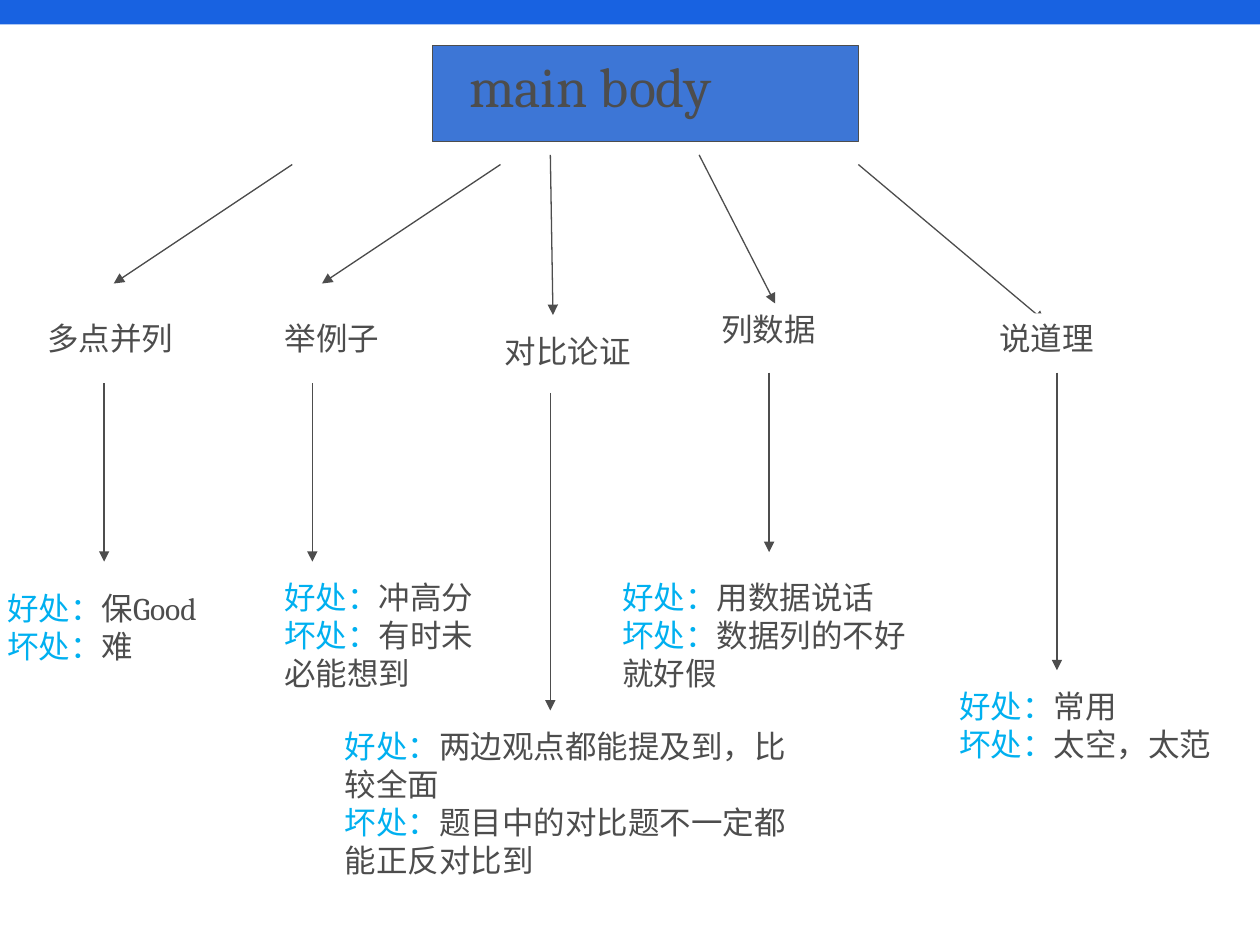
from lxml import etree
from pptx import Presentation
from pptx import util as u
from pptx.dml.color import RGBColor
from pptx.enum import shapes, text
from pptx.oxml.ns import qn

Pt = u.Pt
HUES = {"bar": "1862E1", "box": "3D76D6", "ink": "4D4D4D",
        "key": "00B0F0", "page": "FFFFFF"}


def hue(name):
    return RGBColor.from_string(HUES[name])


def write(par, words, size=18, color="ink", font="Cambria"):
    run = par.add_run()
    run.text = words
    run.font.size = Pt(size)
    run.font.name = font
    run.font.color.rgb = hue(color)


class Deck:
    """Holds the text style and the current slide."""

    def __init__(self, slide, inset=(7.2, 3.6)):
        self.slide = slide
        self.inset = inset

    def frame(self, shape, left=None):
        side, end = self.inset
        body = shape.text_frame
        body.word_wrap = True
        body.auto_size = text.MSO_AUTO_SIZE.NONE
        body.vertical_anchor = text.MSO_ANCHOR.TOP
        body.margin_left = Pt(left or side)
        body.margin_right = Pt(side)
        body.margin_top = body.margin_bottom = Pt(end)
        body.paragraphs[0].alignment = text.PP_ALIGN.LEFT
        return body

    def rect(self, box, color):
        shape = self.slide.shapes.add_shape(
            shapes.MSO_SHAPE.RECTANGLE, *map(Pt, box))
        shape.shadow.inherit = False
        shape.fill.solid()
        shape.fill.fore_color.rgb = hue(color)
        shape.line.fill.background()
        return shape

    def title(self, words, box):
        shape = self.slide.shapes.title
        shape.left, shape.top, shape.width, shape.height = map(Pt, box)
        shape.fill.solid()
        shape.fill.fore_color.rgb = hue("box")
        shape.line.color.rgb = hue("ink")
        shape.line.width = Pt(0.75)
        write(self.frame(shape, left=21).paragraphs[0], words, size=32)

    def label(self, words, box):
        body = self.frame(self.rect(box, "page"))
        write(body.paragraphs[0], words)

    def notes(self, pro, con, box):
        body = self.frame(self.slide.shapes.add_textbox(*map(Pt, box)))
        pars = body.paragraphs[0], body.add_paragraph()
        for par, key, words in zip(pars, ("好处：", "坏处："), (pro, con)):
            write(par, key, color="key")
            write(par, words)

    def arrow(self, *ends):
        line = self.slide.shapes.add_connector(
            shapes.MSO_CONNECTOR.STRAIGHT, *map(Pt, ends))
        line.line.color.rgb = hue("ink")
        line.line.width = Pt(0.75)
        etree.SubElement(line.line._get_or_add_ln(), qn("a:tailEnd"),
                         type="triangle")
        etree.SubElement(line._element.spPr, qn("a:effectLst"))


# Each branch: arrow from title, label and its box, arrow down (x, top, end),
# good point, bad point and their box
BRANCHES = [
    ((167, 94, 65, 162), "多点并列", (20, 179, 112, 29), (59.5, 219, 321),
     "保Good", "难", (-3, 333, 199, 55)),
    ((286, 94, 184, 162), "举例子", (155.5, 179, 76, 29), (178.5, 219, 321),
     "冲高分", "有时未必能想到", (155.5, 327, 130, 72)),
    ((314.5, 88.5, 316, 180), "对比论证", (281.5, 186, 91, 29),
     (314.5, 224.5, 406), "两边观点都能提及到，比较全面",
     "题目中的对比题不一定都能正反对比到", (190, 412, 266.5, 94)),
    ((399.5, 88.5, 443, 173.5), "列数据", (405, 173.5, 76, 29),
     (439.5, 213, 315.5), "用数据说话", "数据列的不好就好假",
     (348.5, 327, 181.5, 72)),
    ((490.5, 94, 597, 183.5), "说道理", (564, 179, 76, 29),
     (604, 213, 383), "常用", "太空，太范", (541, 389, 164, 50)),
]


def main():
    prs = Presentation()
    prs.slide_width, prs.slide_height = Pt(720), Pt(540)
    deck = Deck(prs.slides.add_slide(prs.slide_layouts[5]))

    # Top bar and title
    deck.rect((0, 0, 720, 14), "bar")
    deck.title("main body", (247, 26, 243.5, 55))

    # Five branches, labels laid over the arrowheads
    for slant, name, spot, (x, top, end), pro, con, box in BRANCHES:
        deck.arrow(*slant)
        deck.label(name, spot)
        deck.arrow(x, top, x, end)
        deck.notes(pro, con, box)

    prs.save("out.pptx")


if __name__ == "__main__":
    main()
